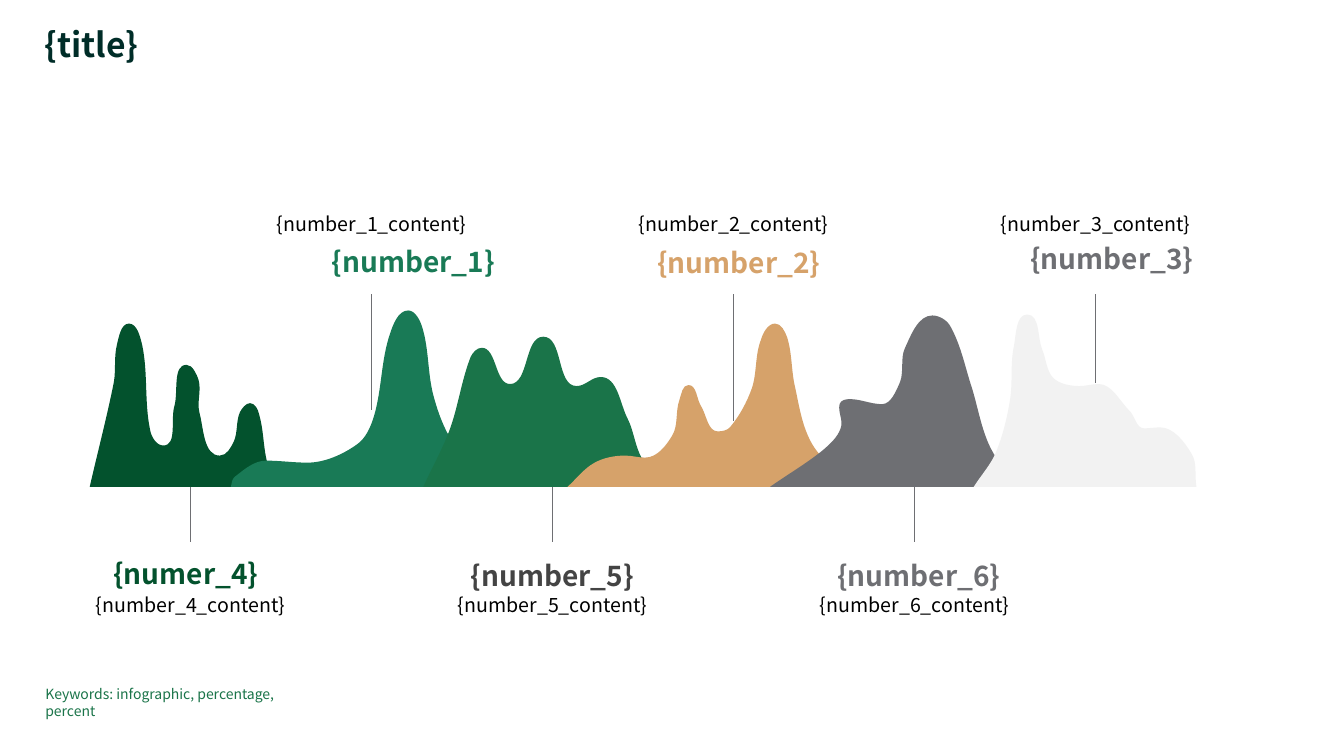
from dataclasses import dataclass
from math import dist

from lxml.etree import Element, SubElement
from pptx import Presentation
from pptx.dml.color import RGBColor
from pptx.enum.shapes import MSO_CONNECTOR
from pptx.enum.text import MSO_ANCHOR, MSO_AUTO_SIZE, PP_ALIGN
from pptx.oxml.ns import qn
from pptx.util import Pt


@dataclass(frozen=True)
class Theme:
    """Colours, font and type sizes of the slide."""
    font: str = "Noto Sans CJK JP"
    title: str = "002D28"
    forest: str = "03522D"
    emerald: str = "197A56"
    green: str = "1A7449"
    sand: str = "D6A26A"
    grey: str = "6E6F73"
    pale: str = "F2F2F2"
    charcoal: str = "444444"
    body: str = "000000"
    title_size: int = 24
    number_size: int = 20
    caption_size: int = 14
    keyword_size: int = 10


@dataclass(frozen=True)
class Row:
    """Vertical places shared by the callouts on one side of the hills."""
    number_anchor: MSO_ANCHOR
    caption_anchor: MSO_ANCHOR
    caption_top: float
    line_top: float


@dataclass(frozen=True)
class Callout:
    """A number, its place and the end of the line beside it."""
    number: str
    caption: str
    color: str
    row: Row
    left: float
    top: float
    width: float
    line_bottom: float


THEME = Theme()
HILL_UNIT = Pt(0.72)
BASELINE = 483
FIRST_LINE = 136.2
LINE_STEP = 129.3
CAPTION_WIDTH = 206.6

HILLS = [
    (THEME.forest, 89, 281, [
        (113, 379), (116, 342), (128, 321), (141, 342), (149, 427), (162, 442),
        (173, 403), (185, 362), (197, 377), (198, 410), (218, 452), (232, 438),
        (238, 409), (248, 400), (257, 411), (266, 462)]),
    (THEME.emerald, 229, 493, [
        (233, 473), (264, 457), (305, 459), (354, 441), (371, 413), (387, 331),
        (405, 308), (419, 325), (431, 396), (454, 446)]),
    (THEME.green, 420, 660, [
        (447, 424), (467, 354), (478, 345), (506, 381), (539, 334), (572, 383),
        (596, 374), (623, 416), (637, 455)]),
    (THEME.sand, 563, 848, [
        (590, 459), (620, 452), (640, 454), (667, 432), (674, 397), (683, 382),
        (695, 402), (712, 428), (725, 423), (746, 385), (755, 337), (769, 321),
        (781, 335), (789, 385), (806, 441)]),
    (THEME.grey, 764, 1011, [
        (816, 447), (834, 425), (833, 401), (843, 396), (875, 401), (893, 379),
        (898, 345), (925, 313), (943, 324), (963, 381), (983, 445)]),
    (THEME.pale, 966, 1187, [
        (988, 449), (1002, 397), (1006, 343), (1019, 312), (1034, 347), (1045, 375),
        (1071, 383), (1090, 381), (1120, 407), (1135, 425), (1151, 424), (1182, 450)]),
]

BELOW = Row(MSO_ANCHOR.MIDDLE, MSO_ANCHOR.TOP, 423.4, 347.8)
ABOVE = Row(MSO_ANCHOR.BOTTOM, MSO_ANCHOR.BOTTOM, 132.5, 210.2)
CALLOUTS = [
    Callout("{numer_4}", "{number_4_content}", THEME.forest, BELOW, 73.4, 397.4, 118.8, 387.4),
    Callout("{number_1}", "{number_1_content}", THEME.emerald, ABOVE, 221.8, 174.2, 146.9, 293),
    Callout("{number_5}", "{number_5_content}", THEME.charcoal, BELOW, 321.1, 398.9, 146.9, 387.4),
    Callout("{number_2}", "{number_2_content}", THEME.sand, ABOVE, 441.4, 175, 172.8, 301),
    Callout("{number_6}", "{number_6_content}", THEME.grey, BELOW, 596.9, 398.9, 118.8, 387.4),
    Callout("{number_3}", "{number_3_content}", THEME.grey, ABOVE, 707.8, 172.1, 172.8, 273.6),
]


def write_text(box, text, *, size, color, bold=False, align=PP_ALIGN.LEFT,
               anchor=MSO_ANCHOR.TOP, grow=False, line_spacing=None):
    """Fill a box with one formatted paragraph."""
    frame = box.text_frame
    frame.text = text
    frame.word_wrap = True
    frame.margin_left = frame.margin_right = frame.margin_top = frame.margin_bottom = 0
    frame.vertical_anchor = anchor
    frame.auto_size = MSO_AUTO_SIZE.SHAPE_TO_FIT_TEXT if grow else MSO_AUTO_SIZE.NONE
    paragraph = frame.paragraphs[0]
    paragraph.alignment = align
    paragraph.line_spacing = line_spacing
    font = paragraph.runs[0].font
    font.name, font.size, font.bold = THEME.font, Pt(size), bold
    font.color.rgb = RGBColor.from_string(color)


def add_text(slide, text, left, top, width, height, **style):
    """Add a text box measured in points."""
    box = slide.shapes.add_textbox(Pt(left), Pt(top), Pt(width), Pt(height))
    write_text(box, text, **style)


def add_title(slide, text):
    """Place and format the title placeholder."""
    title = slide.shapes.title
    title.left, title.top, title.width, title.height = Pt(31.7), Pt(20.2), Pt(794.2), Pt(26.6)
    write_text(title, text, size=THEME.title_size, color=THEME.title, bold=True,
               grow=True, line_spacing=0.9)


def direction(before, point, after):
    """Return the unit tangent at a point, level at crests and valleys."""
    if (point[1] - before[1]) * (after[1] - point[1]) < 0:
        return 1, 0
    length = dist(before, after)
    return (after[0] - before[0]) / length, (after[1] - before[1]) / length


def smooth(points):
    """Return the cubic control and end points of a curve through the points."""
    befores, afters = points[:1] + points[:-1], points[1:] + points[-1:]
    tangents = [direction(*trio) for trio in zip(befores, points, afters)]
    curve = []
    for start, end, leave, arrive in zip(points, points[1:], tangents, tangents[1:]):
        reach = dist(start, end) / 3
        curve += [(start[0] + reach * leave[0], start[1] + reach * leave[1]),
                  (end[0] - reach * arrive[0], end[1] - reach * arrive[1]), end]
    return curve


def add_hill(slide, color, left, right, ridge):
    """Draw a smooth hill that stands on the baseline."""
    curve = smooth([(left, BASELINE), *ridge, (right, BASELINE)])
    builder = slide.shapes.build_freeform(left, BASELINE, scale=HILL_UNIT)
    builder.add_line_segments(curve, close=True)
    hill = builder.convert_to_shape()
    hill.shadow.inherit = False
    hill.fill.solid()
    hill.fill.fore_color.rgb = RGBColor.from_string(color)
    hill.line.fill.background()
    segments = hill.element.xpath(".//a:lnTo")[:len(curve)]
    for first in range(0, len(segments), 3):
        cubic = Element(qn("a:cubicBezTo"))
        segments[first].addprevious(cubic)
        for segment in segments[first:first + 3]:
            cubic.append(segment[0])
            segment.getparent().remove(segment)


def add_leader(slide, x, top, bottom):
    """Draw a thin vertical leader line."""
    leader = slide.shapes.add_connector(MSO_CONNECTOR.STRAIGHT, Pt(x), Pt(top), Pt(x), Pt(bottom))
    leader.line.color.rgb = RGBColor.from_string(THEME.grey)
    leader.line.width = Pt(0.5)
    SubElement(leader.element.spPr, qn("a:effectLst"))


def add_callout(slide, callout, x):
    """Add the leader line, number and caption of one callout."""
    row = callout.row
    add_leader(slide, x, row.line_top, callout.line_bottom)
    add_text(slide, callout.number, callout.left, callout.top, callout.width, 24.5,
             size=THEME.number_size, color=callout.color, bold=True,
             align=PP_ALIGN.CENTER, anchor=row.number_anchor, grow=True)
    add_text(slide, callout.caption, x - CAPTION_WIDTH / 2, row.caption_top, CAPTION_WIDTH, 36,
             size=THEME.caption_size, color=THEME.body,
             align=PP_ALIGN.CENTER, anchor=row.caption_anchor)


def main():
    """Build and save the slide."""
    deck = Presentation()
    deck.slide_width, deck.slide_height = Pt(960), Pt(540)
    slide = deck.slides.add_slide(deck.slide_layouts[5])
    add_title(slide, "{title}")
    for hill in HILLS:
        add_hill(slide, *hill)
    for slot, callout in enumerate(CALLOUTS):
        add_callout(slide, callout, FIRST_LINE + slot * LINE_STEP)
    add_text(slide, "Keywords: infographic, percentage, percent", 32.4, 489.6, 193.7, 12.2,
             size=THEME.keyword_size, color=THEME.green, grow=True)
    deck.save("out.pptx")


if __name__ == "__main__":
    main()
